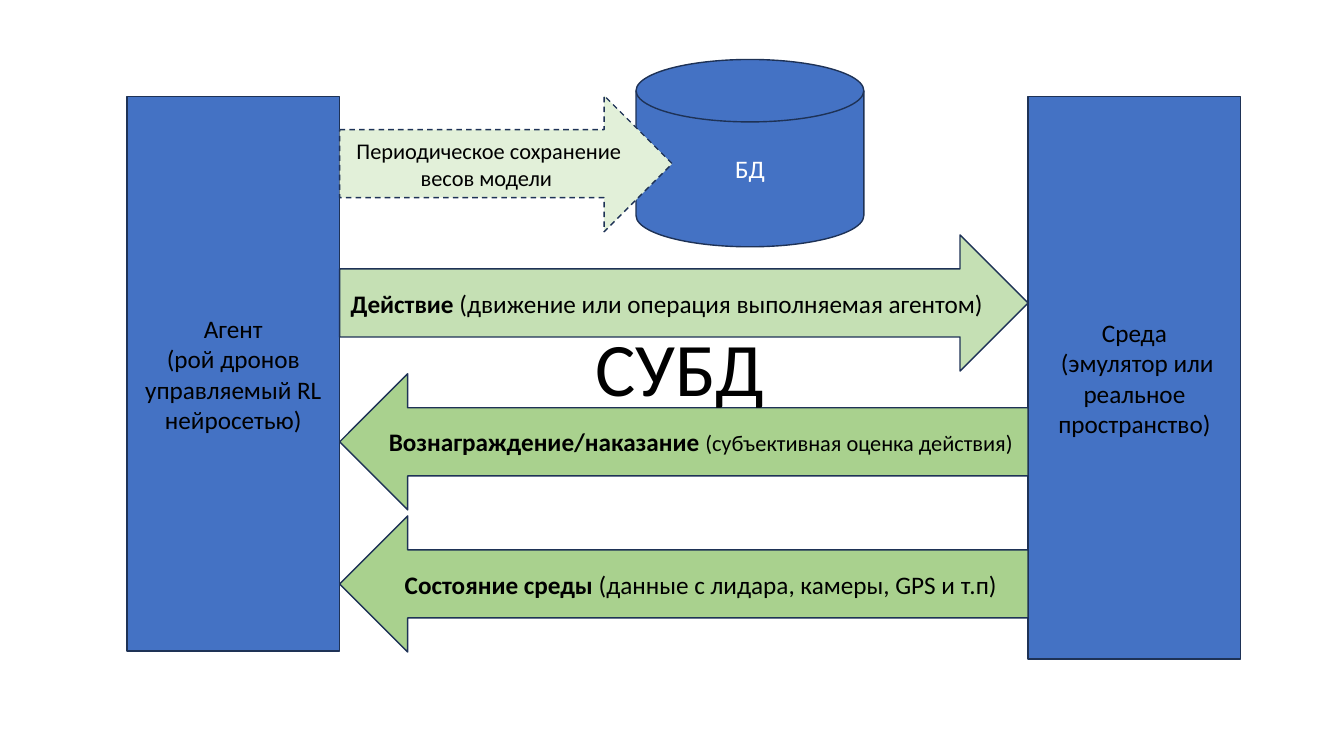
from dataclasses import dataclass

from pptx import Presentation
from pptx.dml.color import RGBColor
from pptx.enum.dml import MSO_LINE
from pptx.enum.shapes import MSO_SHAPE
from pptx.enum.text import MSO_ANCHOR, PP_ALIGN
from pptx.shapes.base import BaseShape
from pptx.slide import Slide
from pptx.text.text import TextFrame
from pptx.util import Cm, Pt

COLORS = {
    "block": "4472C4",
    "outline": "1E3256",
    "saving": "E2F0D9",
    "action": "C5E0B4",
    "feedback": "A9D18E",
    "dark": "000000",
    "light": "FFFFFF",
}
ARROW_LEFT, ARROW_WIDTH, ARROW_HEIGHT = 8.56, 17.35, 3.43
BLOCK_TOP, BLOCK_WIDTH = 2.44, 5.36


@dataclass(frozen=True)
class Span:
    text: str
    size: int = 18
    bold: bool = False


@dataclass(frozen=True)
class Node:
    kind: MSO_SHAPE
    box: tuple[float, float, float, float]
    fill: str
    lines: list[list[Span]]
    color: str = "dark"
    dashed: bool = False


def arrow(kind: MSO_SHAPE, top: float, fill: str, spans: list[Span],
          width: float = ARROW_WIDTH, dashed: bool = False) -> Node:
    return Node(kind, (ARROW_LEFT, top, width, ARROW_HEIGHT), fill, [spans], dashed=dashed)


def block(left: float, height: float, title: str, detail: str) -> Node:
    return Node(MSO_SHAPE.RECTANGLE, (left, BLOCK_TOP, BLOCK_WIDTH, height), "block",
                [[Span(title)], [Span(detail)]])


NODES = [
    block(3.2, 13.97, "Агент", "(рой дронов управляемый RL нейросетью)"),
    block(25.91, 14.17, "Среда", " (эмулятор или реальное пространство)"),
    Node(MSO_SHAPE.FLOWCHART_MAGNETIC_DISK, (16.03, 1.5, 5.74, 4.72), "block",
         [[Span("БД")]], color="light"),
    arrow(MSO_SHAPE.RIGHT_ARROW, 5.92, "action",
          [Span("Действие", bold=True), Span(" (движение или операция выполняемая агентом)")]),
    arrow(MSO_SHAPE.LEFT_ARROW, 13, "feedback",
          [Span("Состояние среды ", bold=True), Span("(данные с лидара, камеры, GPS и т.п)")]),
    arrow(MSO_SHAPE.LEFT_ARROW, 9.42, "feedback",
          [Span("Вознаграждение/наказание ", bold=True),
           Span("(субъективная оценка действия)", 16)]),
    arrow(MSO_SHAPE.RIGHT_ARROW, 2.41, "saving",
          [Span("Периодическое сохранение весов модели ", 16)], width=8.38, dashed=True),
]


def rgb(name: str) -> RGBColor:
    return RGBColor.from_string(COLORS[name])


def write(tf: TextFrame, lines: list[list[Span]], color: str) -> None:
    for i, spans in enumerate(lines):
        p = tf.add_paragraph() if i else tf.paragraphs[0]
        p.alignment = PP_ALIGN.CENTER
        for span in spans:
            r = p.add_run()
            r.text = span.text
            formats = {"name": "Calibri", "size": Pt(span.size), "bold": span.bold}
            for key, value in formats.items():
                setattr(r.font, key, value)
            r.font.color.rgb = rgb(color)


def draw(s: Slide, node: Node) -> BaseShape:
    sp = s.shapes.add_shape(node.kind, *map(Cm, node.box))
    sp.shadow.inherit = False
    sp.fill.solid()
    sp.fill.fore_color.rgb = rgb(node.fill)
    sp.line.color.rgb = rgb("outline")
    sp.line.width = Pt(1)
    if node.dashed:
        sp.line.dash_style = MSO_LINE.DASH
    tf = sp.text_frame
    for key, value in {"word_wrap": True, "vertical_anchor": MSO_ANCHOR.MIDDLE}.items():
        setattr(tf, key, value)
    write(tf, node.lines, node.color)
    return sp


def main() -> None:
    prs = Presentation()
    prs.slide_width, prs.slide_height = Cm(33.87), Cm(19.05)
    s = prs.slides.add_slide(prs.slide_layouts[6])
    for node in NODES:
        draw(s, node)
    title = s.shapes.add_textbox(Cm(14.53), Cm(7.95), Cm(5.21), Cm(2.57))
    title.text_frame.word_wrap = False
    write(title.text_frame, [[Span("СУБД", 54)]], "dark")
    prs.save("out.pptx")


if __name__ == "__main__":
    main()
